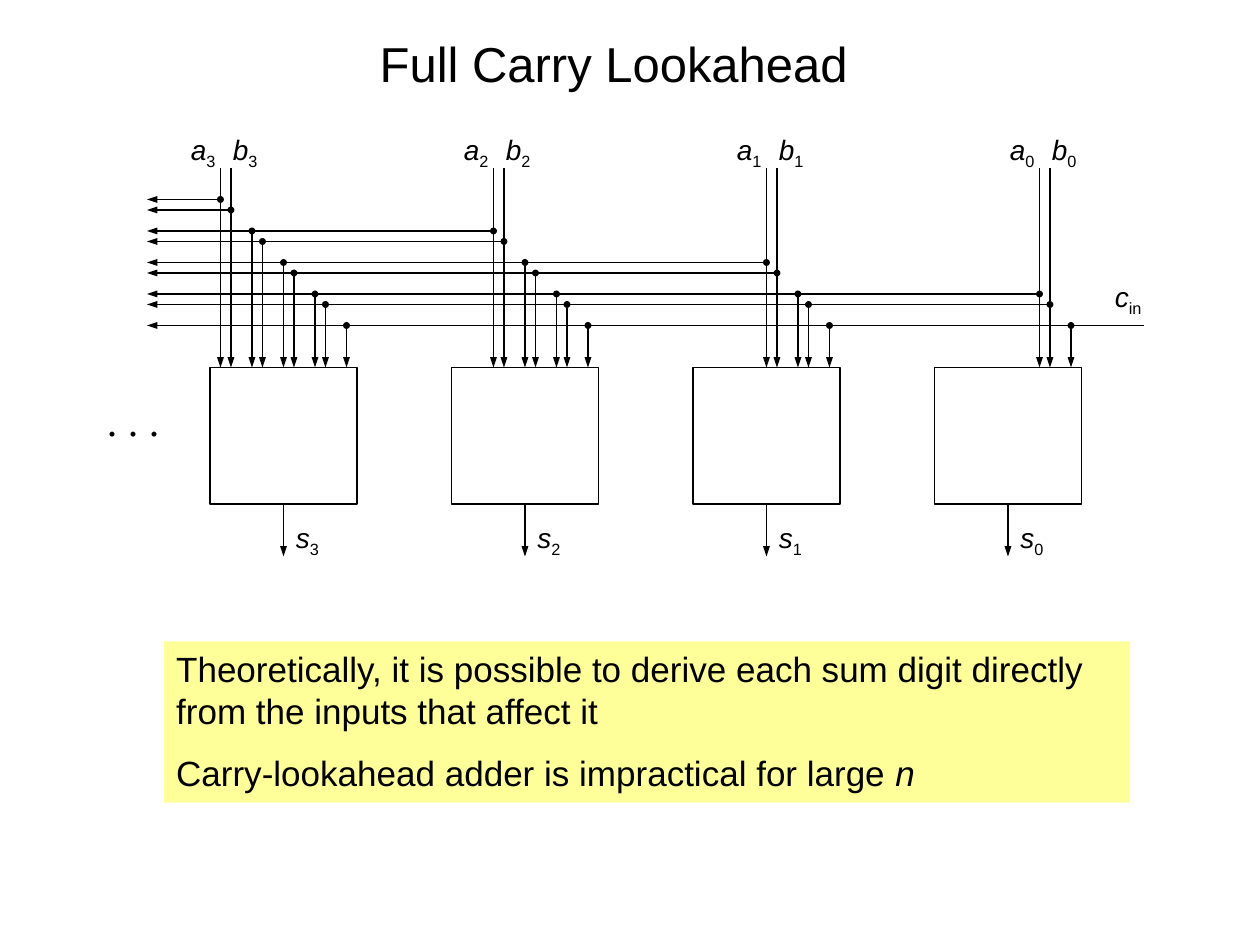
from lxml import etree
from pptx import Presentation
from pptx.dml.color import RGBColor
from pptx.enum.shapes import MSO_CONNECTOR, MSO_SHAPE
from pptx.enum.text import MSO_ANCHOR, PP_ALIGN
from pptx.oxml.ns import qn
from pptx.util import Inches, Pt

BLACK = RGBColor(0, 0, 0)
WHITE = RGBColor(255, 255, 255)
YELLOW = RGBColor(0xFF, 0xFF, 0x99)
LINE, RECT = MSO_CONNECTOR.STRAIGHT, MSO_SHAPE.RECTANGLE
TOP, MIDDLE, LEFT, CENTER = MSO_ANCHOR.TOP, MSO_ANCHOR.MIDDLE, PP_ALIGN.LEFT, PP_ALIGN.CENTER

# Diagram grid, in inches
STEP = 1 / 12
COUNT = 4
BOX_X, BOX_Y, BOX_W, BOX_H = 20 * STEP, 35 * STEP, 14 * STEP, 13 * STEP
PITCH = 23 * STEP      # from one adder box to the next
GAP = 3 * STEP         # from one input pair to the next
BUS_X, BUS_Y = 14 * STEP, 19 * STEP
INPUT_Y = 16 * STEP
CARRY_Y = 31 * STEP


def style(run, size, face="Arial", italic=False):
    font = run.font
    font.name, font.size, font.italic = face, Pt(size), italic
    font.color.rgb = BLACK


def add_rect(shapes, x, y, w, h, fill):
    rect = shapes.add_shape(RECT, Inches(x), Inches(y), Inches(w), Inches(h))
    rect.shadow.inherit = False
    rect.fill.solid()
    rect.fill.fore_color.rgb = fill
    rect.line.fill.background()
    return rect


def add_line(shapes, x1, y1, x2, y2, head=None, tail=None):
    line = shapes.add_connector(LINE, Inches(x1), Inches(y1), Inches(x2), Inches(y2))
    line.line.color.rgb = BLACK
    line.line.width = Pt(0.75)
    ln = line.line._get_or_add_ln()
    for tag, kind in (("a:headEnd", head), ("a:tailEnd", tail)):
        if kind:
            size = "sm" if kind == "oval" else "med"
            etree.SubElement(ln, qn(tag), type=kind, w="sm", len=size)
    etree.SubElement(line._element.spPr, qn("a:effectLst"))


def add_text(shapes, x, y, w, h, text):
    box = shapes.add_textbox(Inches(x), Inches(y), Inches(w), Inches(h))
    box.text_frame.text = text
    box.text_frame.word_wrap = False
    return box.text_frame.paragraphs[0]


def add_label(shapes, x, y, name, sub):
    """Italic letter with an upright subscript."""
    para = add_text(shapes, x, y, 0.41, 0.37, name)
    style(para.runs[0], 16, italic=True)
    run = para.add_run()
    run.text = str(sub)
    style(run, 16)
    run.font._element.set("baseline", "-25000")


def add_adder(shapes, col):
    """Adder box with its sum output."""
    x = BOX_X + col * PITCH
    rect = add_rect(shapes, x, BOX_Y, BOX_W, BOX_H, WHITE)
    rect.line.color.rgb = BLACK
    rect.line.width = Pt(0.75)
    mid, base = x + BOX_W / 2, BOX_Y + BOX_H
    add_line(shapes, mid, base, mid, base + 5 * STEP, tail="triangle")
    add_label(shapes, mid, base + STEP, "s", COUNT - 1 - col)


def add_tap(shapes, x, y):
    add_line(shapes, x, y, x, BOX_Y, head="oval", tail="triangle")


def add_input(shapes, col):
    """Input pair, its two buses and the taps into each adder it affects."""
    for i, name in enumerate("ab"):
        offset = STEP * (1 + i) + GAP * col
        x = BOX_X + PITCH * col + offset
        y = BUS_Y + GAP * col + STEP * i
        add_line(shapes, x, y, x, INPUT_Y)
        add_line(shapes, BUS_X, y, x, y, head="triangle")
        for box in range(col + 1):
            add_tap(shapes, BOX_X + PITCH * box + offset, y)
        add_label(shapes, x - 4 * STEP + 3 * STEP * i, 1, name, COUNT - 1 - col)


def add_carry(shapes):
    add_line(shapes, BUS_X, CARRY_Y, 9.08, CARRY_Y, head="triangle")
    for col in range(COUNT):
        add_tap(shapes, BOX_X + PITCH * col + 13 * STEP, CARRY_Y)
    add_label(shapes, 8.75, 2.17, "c", "in")


def add_title(slide):
    title = slide.shapes.title
    title.left, title.top = Inches(0.33), Inches(0)
    title.width, title.height = Inches(9.08), Inches(1)
    frame = title.text_frame
    frame.text = "Full Carry Lookahead"
    frame.vertical_anchor = MIDDLE
    frame.paragraphs[0].alignment = CENTER
    style(frame.paragraphs[0].runs[0], 28)


def add_note(slide):
    frame = add_rect(slide.shapes, 1.3, 5.09, 7.67, 1.28, YELLOW).text_frame
    frame.word_wrap = True
    frame.vertical_anchor = TOP
    frame.text = (
        "Theoretically, it is possible to derive each sum digit directly "
        "from the inputs that affect it\n"
        "Carry-lookahead adder is impractical for large "
    )
    last = frame.paragraphs[1]
    last.space_before = Pt(11.5)
    last.add_run().text = "n"
    for para in frame.paragraphs:
        para.alignment = LEFT
        for run in para.runs:
            style(run, 20, italic=run.text == "n")


def main():
    deck = Presentation()
    deck.slide_width, deck.slide_height = Inches(10), Inches(7.5)
    slide = deck.slides.add_slide(deck.slide_layouts[5])
    add_title(slide)
    add_note(slide)

    # Carry lookahead diagram
    shapes = slide.shapes.add_group_shape().shapes
    for col in range(COUNT):
        add_adder(shapes, col)
    add_carry(shapes)
    for col in range(COUNT):
        add_input(shapes, col)
    dots = add_text(shapes, 0.75, 3.08, 0.62, 0.5, ". . .")
    style(dots.runs[0], 24, "Times New Roman")

    deck.save("out.pptx")


if __name__ == "__main__":
    main()
